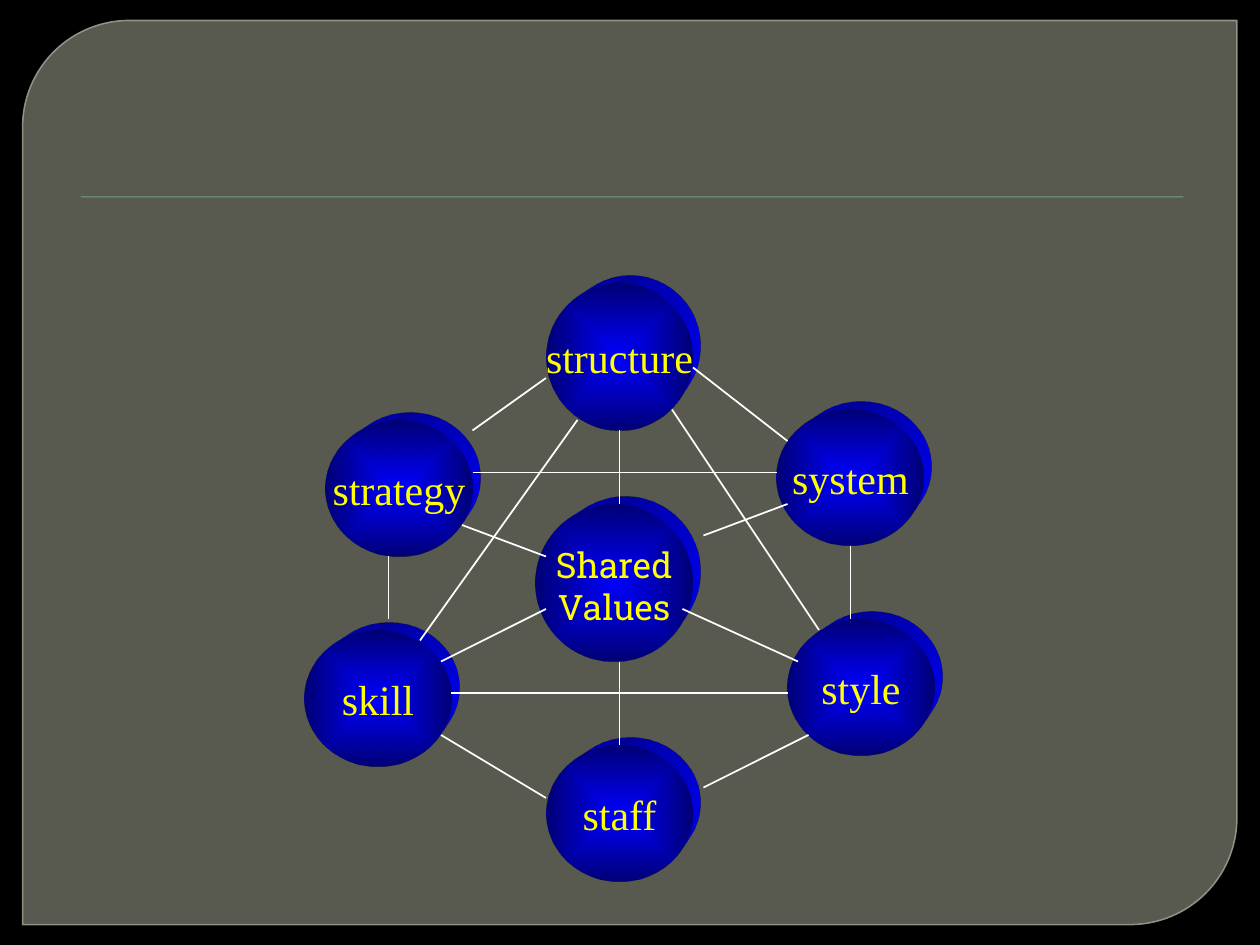
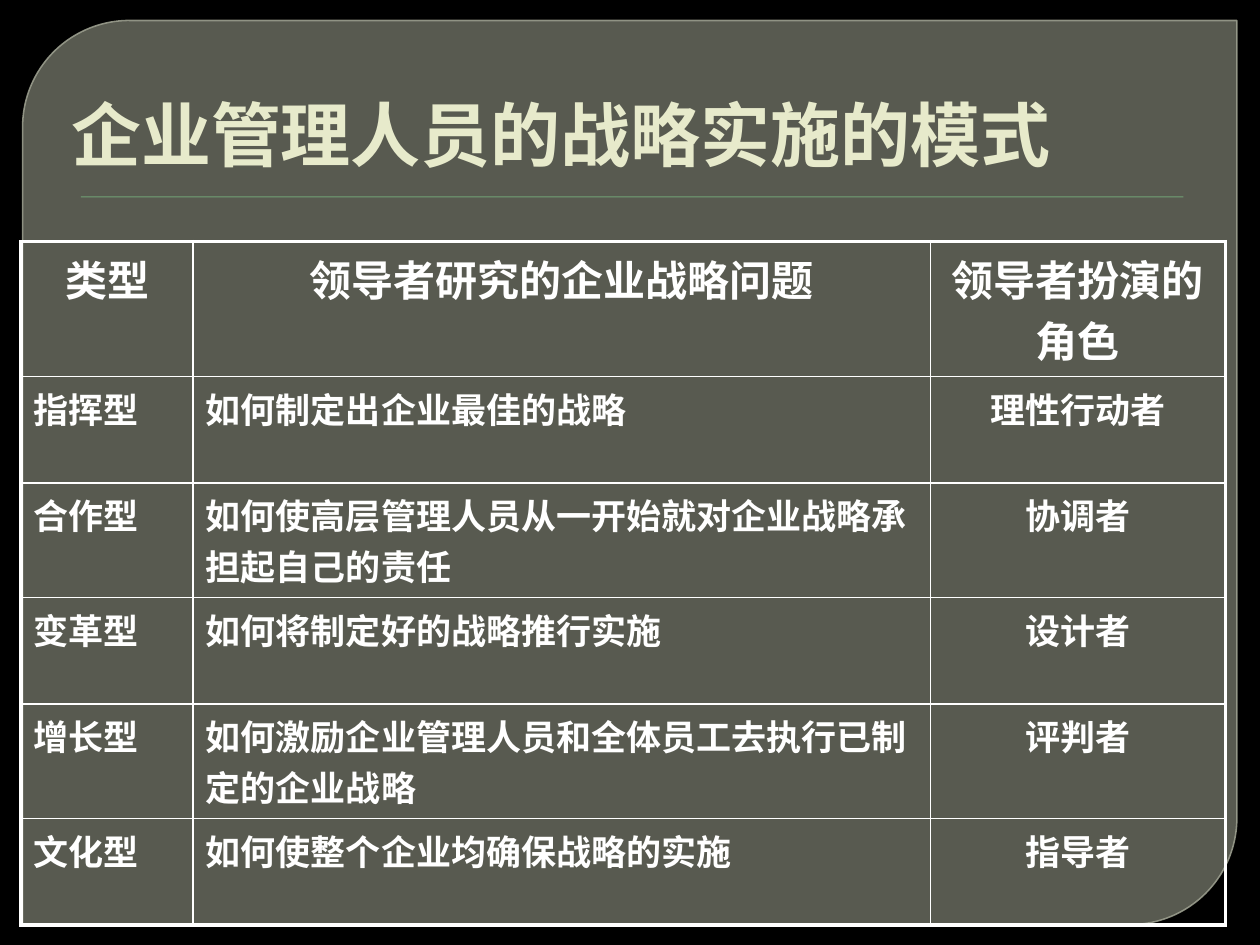
from pptx import Presentation
from pptx.dml.color import RGBColor as RGB
from pptx.enum.shapes import MSO_CONNECTOR as Link, MSO_SHAPE as Form
from pptx.enum.text import MSO_ANCHOR as Anchor, PP_ALIGN as Align
from pptx.oxml import parse_xml as to_xml
from pptx.oxml.ns import qn
from pptx.util import Inches, Pt

BLACK = RGB(0x00, 0x00, 0x00)
PANEL = RGB(0x88, 0x8B, 0x7B)
EDGE = RGB(0x9D, 0xA0, 0x90)
GREEN = RGB(0x72, 0xA3, 0x76)
CREAM = RGB(0xE7, 0xEA, 0xCB)
WHITE = RGB(0xFF, 0xFF, 0xFF)
YELLOW = RGB(0xFF, 0xFF, 0x00)
BLUE = RGB(0x00, 0x00, 0xFF)
NAVY = RGB(0x00, 0x00, 0x76)
NS = 'xmlns:a="http://schemas.openxmlformats.org/drawingml/2006/main"'

deck = Presentation()
deck.slide_width = Inches(10)
deck.slide_height = Inches(7.5)
COLS = 120
unit = deck.slide_width / COLS


def grid(*marks):
    return [round(mark * unit) for mark in marks]


def write(para, text, font, size, color, align, bold=False):
    para.alignment = align
    run = para.add_run()
    run.text = text
    run.font.name = font
    run.font.size = Pt(size)
    run.font.bold = bold
    run.font.color.rgb = color


for _ in range(2):
    slide = deck.slides.add_slide(deck.slide_layouts[6])
    slide.background.fill.solid()
    slide.background.fill.fore_color.rgb = BLACK

    panel = slide.shapes.add_shape(Form.ROUND_2_DIAG_RECTANGLE, *grid(2.15, 1.95, 115.65, 86.1))
    panel.adjustments[0] = 0.118
    panel.adjustments[1] = 0
    panel.shadow.inherit = False
    panel.fill.solid()
    panel.fill.fore_color.rgb = PANEL
    panel.line.color.rgb = EDGE
    panel.line.width = Pt(0.87)
    for tint, share in zip(panel._element.spPr.iter(qn("a:srgbClr")), (65, 88)):
        tint.append(to_xml(f'<a:alpha {NS} val="{share * 1000}"/>'))

    rule = slide.shapes.add_shape(Form.RECTANGLE, *grid(7.7, 18.7, 105, 0.1))
    rule.fill.solid()
    rule.fill.fore_color.rgb = GREEN
    rule.line.fill.background()
    rule._element.spPr.append(to_xml(
        f'<a:effectLst {NS}><a:outerShdw blurRad="12700" dist="12700" dir="5400000">'
        f'<a:srgbClr val="{BLACK}"><a:alpha val="75000"/></a:srgbClr>'
        '</a:outerShdw></a:effectLst>'))

model, modes = deck.slides

SERIF, SLAB = "Times New Roman", "Roboto Slab"
balls = [
    (["Shared", "Values"], 51, 48, 15, 15, SLAB, 20),
    (["system"], 74, 39, 14, 13, SERIF, 24),
    (["style"], 75, 59, 14, 13, SERIF, 24),
    (["staff"], 52, 71, 14, 13, SERIF, 24),
    (["skill"], 29, 60, 14, 13, SERIF, 24),
    (["strategy"], 31, 40, 14, 13, SERIF, 24),
    (["structure"], 52, 27, 14, 14, SERIF, 24),
]
for words, left, top, wide, high, font, size in balls:
    ball = model.shapes.add_shape(Form.OVAL, *grid(left, top, wide, high))
    ball.line.fill.background()
    ball.shadow.inherit = False
    props = ball._element.spPr
    props.insert(2, to_xml(
        f'<a:gradFill {NS} rotWithShape="0"><a:gsLst>'
        f'<a:gs pos="0"><a:srgbClr val="{BLUE}"/></a:gs>'
        f'<a:gs pos="100000"><a:srgbClr val="{NAVY}"/></a:gs></a:gsLst>'
        '<a:path path="shape"><a:fillToRect l="50000" t="50000" r="50000" b="50000"/></a:path>'
        '</a:gradFill>'))
    props.append(to_xml(
        f'<a:scene3d {NS}><a:camera prst="legacyPerspectiveTopRight"/>'
        '<a:lightRig rig="legacyFlat3" dir="b"/></a:scene3d>'))
    props.append(to_xml(
        f'<a:sp3d {NS} extrusionH="430200" prstMaterial="legacyMatte">'
        '<a:bevelT w="13500" h="13500" prst="angle"/>'
        '<a:bevelB w="13500" h="13500" prst="angle"/>'
        f'<a:extrusionClr><a:srgbClr val="{BLUE}"/></a:extrusionClr></a:sp3d>'))
    frame = ball.text_frame
    frame.word_wrap = False
    frame.vertical_anchor = Anchor.MIDDLE
    if len(words) > 1:
        frame.margin_top = Inches(0.1)
    for row, word in enumerate(words):
        para = frame.add_paragraph() if row else frame.paragraphs[0]
        write(para, word, font, size, YELLOW, Align.CENTER)

links = [
    (52, 36, 45, 41), (66, 35, 75, 42), (81, 52, 81, 59), (77, 70, 67, 75),
    (42, 70, 52, 76), (37, 53, 37, 59), (75, 48, 67, 51), (59, 41, 59, 48),
    (59, 63, 59, 71), (44, 50, 52, 53), (42, 63, 52, 58), (65, 58, 76, 63),
    (45, 45, 74, 45), (64, 39, 78, 60), (43, 66, 75, 66), (55, 40, 40, 61),
]
for ends in links:
    link = model.shapes.add_connector(Link.STRAIGHT, *grid(*ends))
    link.line.color.rgb = WHITE
    link.line.width = Pt(1)
    link._element.spPr.append(to_xml(f'<a:effectLst {NS}/>'))

title = modes.shapes.add_textbox(*grid(3.2, 8, 98, 9.3)).text_frame
title.word_wrap = True
title.vertical_anchor = Anchor.BOTTOM
write(title.paragraphs[0], "企业管理人员的战略实施的模式", SLAB, 40, CREAM, Align.RIGHT, True)

cells = [
    ("类型", "领导者研究的企业战略问题", "领导者扮演的角色"),
    ("指挥型", "如何制定出企业最佳的战略", "理性行动者"),
    ("合作型", "如何使高层管理人员从一开始就对企业战略承担起自己的责任", "协调者"),
    ("变革型", "如何将制定好的战略推行实施", "设计者"),
    ("增长型", "如何激励企业管理人员和全体员工去执行已制定的企业战略", "评判者"),
    ("文化型", "如何使整个企业均确保战略的实施", "指导者"),
]
wides = grid(16.4, 70.2, 28.1)
highs = grid(12.85, 10.15, 10.9, 10.15, 10.9, 10.15)
table = modes.shapes.add_table(
    len(highs), len(wides), *grid(2, 23), sum(wides), sum(highs)).table
table.first_row = False
table.horz_banding = False
for col, wide in zip(table.columns, wides):
    col.width = wide
for line, high in zip(table.rows, highs):
    line.height = high

for row, texts in enumerate(cells):
    for col, text in enumerate(texts):
        cell = table.cell(row, col)
        head = row == 0
        mid = head or col == 2
        write(cell.text_frame.paragraphs[0], text, "Arial", 24 if head else 20, WHITE,
              Align.CENTER if mid else Align.LEFT, True)
        outer = {"L": col == 0, "R": col == 2, "T": head, "B": row == len(cells) - 1}
        props = cell._tc.get_or_add_tcPr()
        for side, thick in outer.items():
            width = Pt(2.25 if thick else 1)
            props.append(to_xml(
                f'<a:ln{side} {NS} w="{width}"><a:solidFill><a:srgbClr val="{WHITE}"/>'
                f'</a:solidFill></a:ln{side}>'))
        cell.fill.background()

deck.save("out.pptx")
